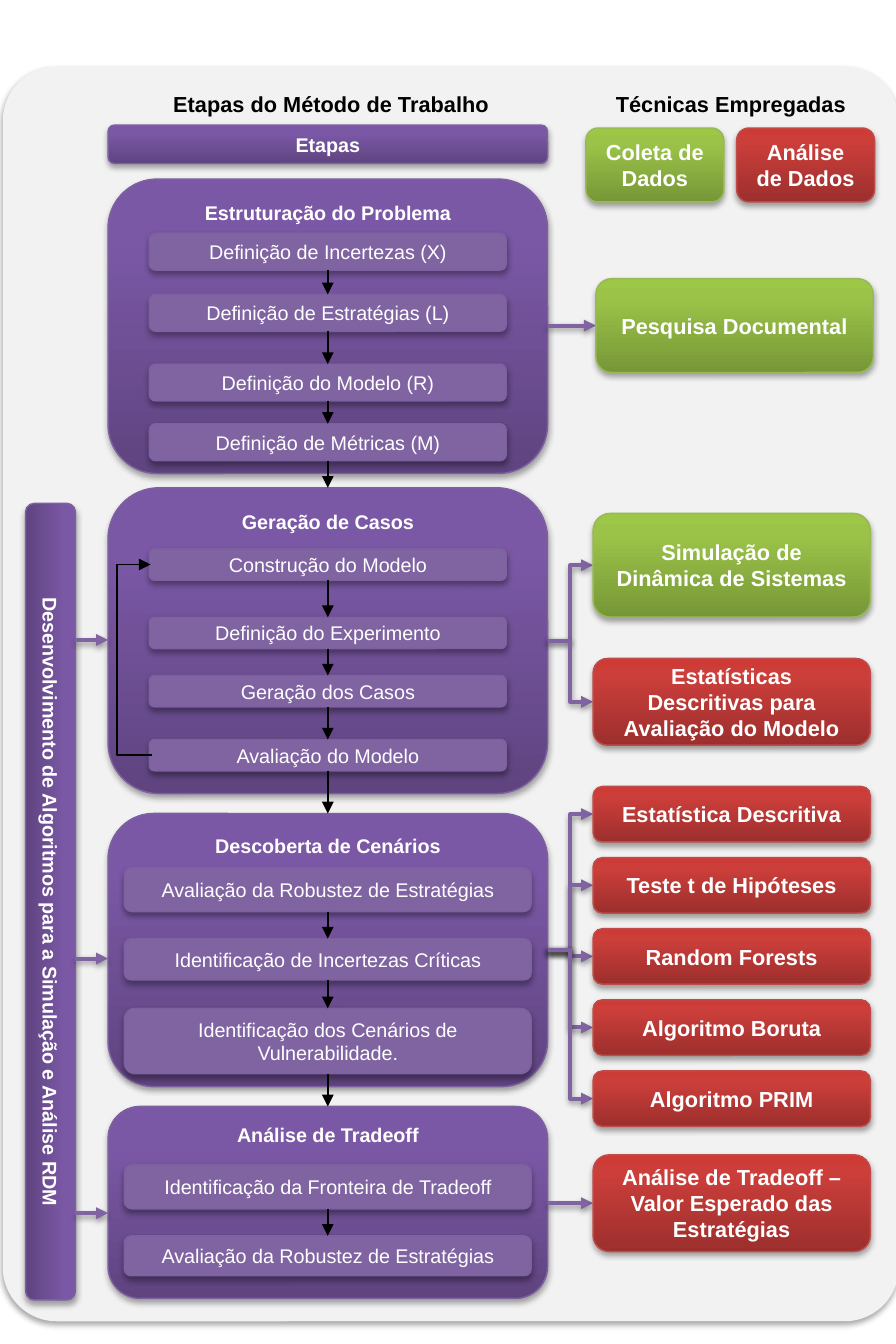
import itertools

import lxml.etree
import pptx
import pptx.dml.color
import pptx.enum.shapes
import pptx.enum.text
import pptx.oxml
import pptx.oxml.ns
import pptx.util

Inches, Pt = pptx.util.Inches, pptx.util.Pt
qn = pptx.oxml.ns.qn
SHAPE = pptx.enum.shapes.MSO_SHAPE
LINK = pptx.enum.shapes.MSO_CONNECTOR
ANCHOR = pptx.enum.text.MSO_ANCHOR

# Content; all lengths in inches
HEADINGS = [("Etapas do Método de Trabalho", 2.33), ("Técnicas Empregadas", 5.14)]
STAGE_HEADER = "Etapas"
LEGEND = [("green", "Coleta de Dados", 4.12), ("red", "Análise de Dados", 5.18)]
SIDEBAR = "Desenvolvimento de Algoritmos para a Simulação e Análise RDM"
# title, top, height, step width, steps as (text, top, height)
STAGES = [
    ("Estruturação do Problema", 1.26, 2.07, 2.51, [
        ("Definição de Incertezas (X)", 1.64, 0.26),
        ("Definição de Estratégias (L)", 2.07, 0.26),
        ("Definição do Modelo (R)", 2.56, 0.26),
        ("Definição de Métricas (M)", 2.98, 0.26)]),
    ("Geração de Casos", 3.43, 2.15, 2.51, [
        ("Construção do Modelo", 3.86, 0.22),
        ("Definição do Experimento", 4.34, 0.22),
        ("Geração dos Casos", 4.75, 0.22),
        ("Avaliação do Modelo", 5.2, 0.22)]),
    ("Descoberta de Cenários", 5.72, 1.92, 2.86, [
        ("Avaliação da Robustez de Estratégias", 6.1, 0.31),
        ("Identificação de Incertezas Críticas", 6.6, 0.29),
        ("Identificação dos Cenários de Vulnerabilidade.", 7.09, 0.46)]),
    ("Análise de Tradeoff", 7.78, 1.35, 2.86, [
        ("Identificação da Fronteira de Tradeoff", 8.19, 0.31),
        ("Avaliação da Robustez de Estratégias", 8.69, 0.28)]),
]
ANALYSES = ["Estatística Descritiva", "Teste t de Hipóteses", "Random Forests",
            "Algoritmo Boruta", "Algoritmo PRIM"]
# One list per stage: style, text, left, top, height
TECHNIQUES = [
    [("green", "Pesquisa Documental", 4.19, 1.96, 0.66)],
    [("green", "Simulação de Dinâmica de Sistemas", 4.17, 3.61, 0.73),
     ("red", "Estatísticas Descritivas para Avaliação do Modelo", 4.17, 4.63, 0.61)],
    [("red", name, 4.17, 5.53 + 0.5 * i, 0.39) for i, name in enumerate(ANALYSES)],
    [("red", "Análise de Tradeoff –\nValor Esperado das Estratégias", 4.17, 8.12, 0.68)],
]
SIDEBAR_ARROWS = [4.5, 6.74, 8.53]

STAGE_LEFT, STAGE_WIDTH = 0.76, 3.09
STAGE_RIGHT = STAGE_LEFT + STAGE_WIDTH
FLOW_X = STAGE_LEFT + STAGE_WIDTH / 2
TECHNIQUE_WIDTH = 1.95
SIDEBAR_LEFT, SIDEBAR_TOP, SIDEBAR_WIDTH, SIDEBAR_LENGTH = 0.18, 3.54, 0.35, 5.6
LOOP_X = 0.82

THEME = {
    "font": "Arial", "small": 10, "large": 11,
    "white": "FFFFFF", "black": "000000", "link": "8064A2",
    # fill colours from bottom to top, then outline
    "panel": (["F2F2F2"], None),
    "purple": (["5F4480", "7B58A6", "7C57A8"], "7D60A0"),
    "green": (["779737", "9BC348", "9DC746"], "98B955"),
    "red": (["9C2F2D", "CB3E3A", "CE3B37"], "BF4C48"),
    "step": (["8064A2"], "7D60A0"),
}


def rgb(value):
    return pptx.dml.color.RGBColor.from_string(value)


def add_effects(shape, alpha=None, distance=1.8):
    """Give the shape a soft downward shadow, or none when alpha is not set."""
    sp_pr = shape._element.spPr
    for old in sp_pr.findall(qn("a:effectLst")):
        sp_pr.remove(old)
    effects = lxml.etree.SubElement(sp_pr, qn("a:effectLst"))
    if alpha:
        shadow = lxml.etree.SubElement(
            effects, qn("a:outerShdw"), blurRad=str(Pt(3.1)),
            dist=str(Pt(distance)), dir="5400000", rotWithShape="0")
        color = lxml.etree.SubElement(shadow, qn("a:srgbClr"), val=THEME["black"])
        lxml.etree.SubElement(color, qn("a:alpha"), val=str(alpha * 1000))


def fill_gradient(shape, colors):
    """Run the three colours from the bottom edge up to the top edge."""
    shape.fill.gradient()
    shape.fill.gradient_angle = 90
    stops = shape._element.spPr.find(qn("a:gradFill")).find(qn("a:gsLst"))
    for stop in list(stops):
        stops.remove(stop)
    for position, color in zip((0, 80, 100), colors):
        stop = lxml.etree.SubElement(stops, qn("a:gs"), pos=str(position * 1000))
        lxml.etree.SubElement(stop, qn("a:srgbClr"), val=color)


def write(s, text, size, color, bold=True, anchor=ANCHOR.MIDDLE):
    tf = s.text_frame
    tf.text = text
    tf.word_wrap = True
    tf.vertical_anchor = anchor
    for p in tf.paragraphs:
        p.alignment = pptx.enum.text.PP_ALIGN.CENTER
        for r in p.runs:
            r.font.name = THEME["font"]
            r.font.size = Pt(THEME[size])
            r.font.bold = bold
            r.font.color.rgb = rgb(THEME[color])


def add_box(shapes, style, left, top, width, height):
    s = shapes.add_shape(SHAPE.ROUNDED_RECTANGLE, *map(Inches, (left, top, width, height)))
    colors, outline = THEME[style]
    if len(colors) > 1:
        fill_gradient(s, colors)
    else:
        s.fill.solid()
        s.fill.fore_color.rgb = rgb(colors[0])
    if outline:
        s.line.color.rgb = rgb(outline)
        s.line.width = Pt(0.75)
    else:
        s.line.fill.background()
    s.shadow.inherit = False
    add_effects(s, alpha=35)
    return s


def add_arrow(shapes, start, end, color="black", width=0.75, bend=None):
    """Draw a straight or elbow arrow; bend is the elbow place as a share of the width."""
    straight = start[0] == end[0] or start[1] == end[1]
    kind = LINK.STRAIGHT if straight else LINK.ELBOW
    c = shapes.add_connector(kind, *map(Inches, start + end))
    c.line.color.rgb = rgb(THEME[color])
    c.line.width = Pt(width)
    lxml.etree.SubElement(c.line._get_or_add_ln(), qn("a:tailEnd"), type="triangle")
    add_effects(c, alpha=38 if color == "link" else None, distance=1.6)
    if bend:
        guides = c._element.spPr.find(qn("a:prstGeom")).find(qn("a:avLst"))
        lxml.etree.SubElement(guides, qn("a:gd"), name="adj1",
                              fmla=f"val {round(bend * 100000)}")


def add_headers(shapes):
    for text, center in HEADINGS:
        s = shapes.add_textbox(*map(Inches, (center - 1.3, 0.58, 2.6, 0.3)))
        write(s, text, "large", "black")
    s = add_box(shapes, "purple", STAGE_LEFT, 0.88, STAGE_WIDTH, 0.27)
    write(s, STAGE_HEADER, "small", "white")
    for style, text, left in LEGEND:
        write(add_box(shapes, style, left, 0.9, 0.97, 0.52), text, "large", "white")


def add_stages(shapes):
    for title, top, height, step_width, steps in STAGES:
        s = add_box(shapes, "purple", STAGE_LEFT, top, STAGE_WIDTH, height)
        write(s, title, "small", "white", anchor=ANCHOR.TOP)
        for text, step_top, step_height in steps:
            s = add_box(shapes, "step", FLOW_X - step_width / 2, step_top,
                        step_width, step_height)
            write(s, text, "small", "white", bold=False)
        for (_, upper, upper_height), (_, lower, _) in itertools.pairwise(steps):
            add_arrow(shapes, (FLOW_X, upper + upper_height), (FLOW_X, lower))
    for stage, following in itertools.pairwise(STAGES):
        _, top, height = stage[4][-1]
        add_arrow(shapes, (FLOW_X, top + height), (FLOW_X, following[1]))


def add_model_loop(shapes):
    """Lead the last step of case generation back to its first step."""
    first, last = STAGES[1][4][0], STAGES[1][4][-1]
    start = (1.07, last[1] + last[2] / 2)
    end = (1.06, first[1] + first[2] / 2)
    add_arrow(shapes, start, end, bend=(start[0] - LOOP_X) / (start[0] - end[0]))


def add_techniques(shapes):
    for (_, top, height, _, _), group in zip(STAGES, TECHNIQUES):
        for style, text, left, box_top, box_height in group:
            middle = box_top + box_height / 2
            start_y = middle if len(group) == 1 else top + height / 2
            add_arrow(shapes, (STAGE_RIGHT, start_y), (left, middle), "link", 2)
            s = add_box(shapes, style, left, box_top, TECHNIQUE_WIDTH, box_height)
            write(s, text, "large", "white")


def add_sidebar(shapes):
    center_x = SIDEBAR_LEFT + SIDEBAR_WIDTH / 2
    center_y = SIDEBAR_TOP + SIDEBAR_LENGTH / 2
    s = add_box(shapes, "purple", center_x - SIDEBAR_LENGTH / 2,
                center_y - SIDEBAR_WIDTH / 2, SIDEBAR_LENGTH, SIDEBAR_WIDTH)
    s.rotation = 90
    write(s, SIDEBAR, "small", "white")
    for y in SIDEBAR_ARROWS:
        add_arrow(shapes, (SIDEBAR_LEFT + SIDEBAR_WIDTH, y), (STAGE_LEFT, y), "link", 2)


def main():
    prs = pptx.Presentation()
    prs.slide_width, prs.slide_height = Inches(6.3), Inches(9.45)
    shapes = prs.slides.add_slide(prs.slide_layouts[6]).shapes
    add_box(shapes, "panel", 0.02, 0.47, 6.3, 8.82).adjustments[0] = 0.06
    for add_part in (add_headers, add_stages, add_model_loop, add_techniques, add_sidebar):
        add_part(shapes)
    prs.save("out.pptx")


if __name__ == "__main__":
    main()
